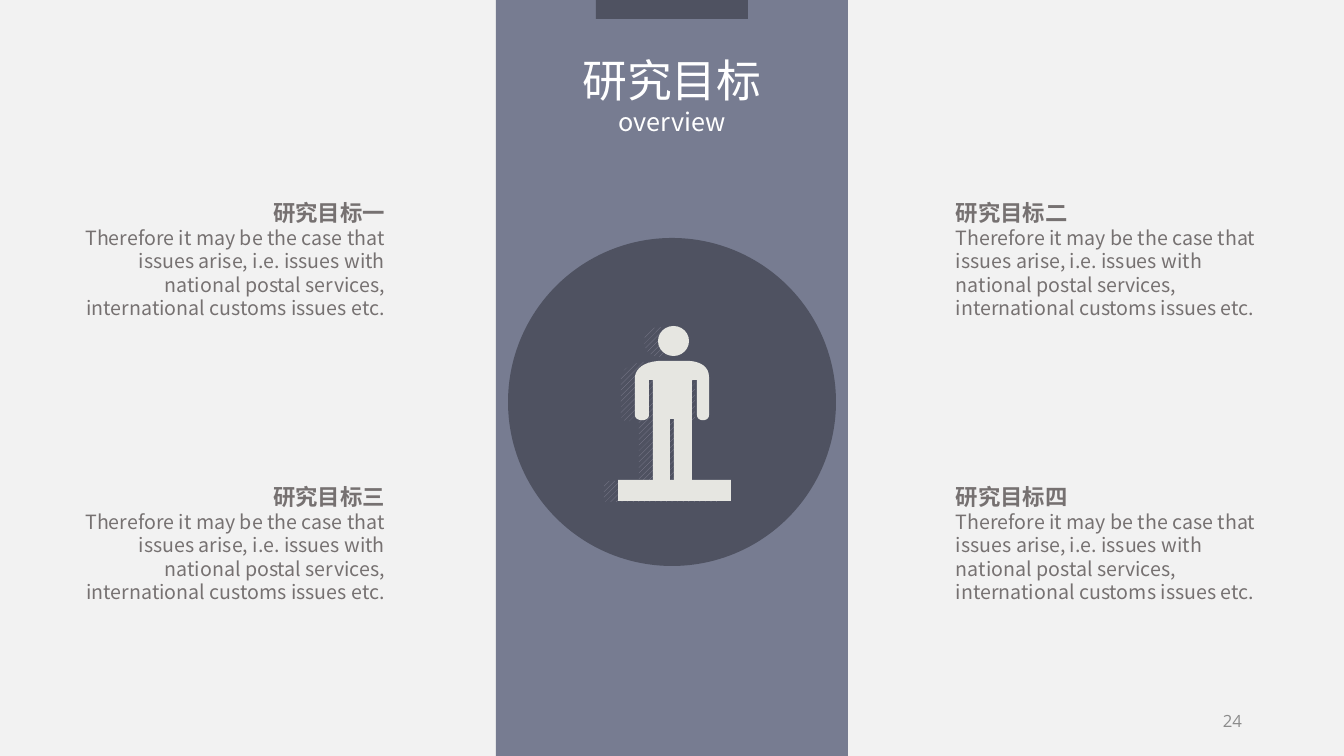
from lxml.etree import SubElement as Sub
from pptx import Presentation
from pptx.dml.color import RGBColor as RGB
from pptx.enum.dml import MSO_PATTERN as Pat
from pptx.enum.shapes import MSO_SHAPE as Kind
from pptx.enum.text import MSO_ANCHOR as Anchor, MSO_AUTO_SIZE as Auto, PP_ALIGN as Align
from pptx.oxml.ns import qn
from pptx.util import Pt

PX = 914400 / 100.8
PALE = RGB(0xF2, 0xF2, 0xF2)
SLATE = RGB(0x77, 0x7C, 0x91)
DARK = RGB(0x4F, 0x52, 0x61)
HATCH = RGB(0x87, 0x84, 0x97)
BONE = RGB(0xE6, 0xE6, 0xE1)
WHITE = RGB(0xFF, 0xFF, 0xFF)
GREY = RGB(0x76, 0x71, 0x71)
FAINT = RGB(0x8C, 0x8C, 0x8C)
NOTO = "Noto Sans CJK SC"

TITLE = {"size": Pt(32), "name": NOTO, "color": WHITE}
SUB = {"size": Pt(18), "name": NOTO, "color": WHITE}
HEAD = {"size": Pt(16), "name": "Roboto", "bold": True, "color": GREY}
BODY = {"size": Pt(14), "name": NOTO, "bold": False, "color": GREY}
PAGE = {"size": Pt(12), "name": "Open Sans", "color": FAINT}

GOALS = [["研究目标一", "研究目标二"], ["研究目标三", "研究目标四"]]
NOTE = ("Therefore it may be the case that issues arise, i.e. issues with "
        "national postal services, international customs issues etc.")
COLS = [(73, Align.RIGHT), (946, Align.LEFT)]
ROWS = [194, 478]

PANELS = [
    (Kind.RECTANGLE, (0, 0, 1344, 756), PALE),
    (Kind.RECTANGLE, (496, 0, 352, 756), SLATE),
    (Kind.RECTANGLE, (596, 0, 152, 19), DARK),
    (Kind.OVAL, (508, 238, 328, 328), DARK),
]
FACE = (658, 326, 31, 30)
BASE = (618, 480, 113, 21)
TORSO = [
    (709, 377), (709, 361, 689, 361, 689, 361),
    (658, 361), (635, 363, 635, 377, 635, 377),
    (635, 415), (635, 422, 649, 422, 649, 415),
    (649, 380), (653, 380), (653, 487), (653, 499, 670, 499, 670, 487),
    (670, 419), (674, 419), (674, 487), (674, 499, 692, 499, 692, 487),
    (692, 380), (697, 380), (697, 415), (697, 422, 709, 422, 709, 415),
]
STEPS = 12


def emu(vals):
    return [round(v * PX) for v in vals]


def paint(shape, color):
    if color == HATCH:
        shape.fill.patterned()
        shape.fill.pattern = Pat.WIDE_UPWARD_DIAGONAL
        shape.fill.fore_color.rgb = HATCH
        shape.fill.back_color.rgb = DARK
    else:
        shape.fill.solid()
        shape.fill.fore_color.rgb = color
    shape.line.fill.background()
    shape.shadow.inherit = False


def draw(kind, box, color):
    paint(slide.shapes.add_shape(kind, *emu(box)), color)


def trace(parts):
    dots = []
    for part in parts:
        if len(part) == 2:
            dots.append(part)
            continue
        a, b, c, d = dots[-1], part[:2], part[2:4], part[4:]
        for i in range(1, STEPS + 1):
            t = i / STEPS
            u = 1 - t
            mix = (u ** 3, 3 * u * u * t, 3 * u * t * t, t ** 3)
            dots.append(tuple(sum(m * p[k] for m, p in zip(mix, (a, b, c, d)))
                              for k in (0, 1)))
    return dots


def man(dx, dy, color):
    for kind, (x, y, w, h) in ((Kind.OVAL, FACE), (Kind.RECTANGLE, BASE)):
        draw(kind, (x + dx, y + dy, w, h), color)
    dots = [emu((x + dx, y + dy)) for x, y in trace(TORSO)]
    pen = slide.shapes.build_freeform(*dots[0], scale=1.0)
    pen.add_line_segments(dots[1:], close=True)
    paint(pen.convert_to_shape(), color)


def write(box, lines, align, wrap=True, anchor=Anchor.TOP, fit=Auto.SHAPE_TO_FIT_TEXT):
    frame = slide.shapes.add_textbox(*emu(box)).text_frame
    for key, val in {"word_wrap": wrap, "vertical_anchor": anchor, "auto_size": fit}.items():
        setattr(frame, key, val)
    for i, (text, style) in enumerate(lines):
        para = frame.add_paragraph() if i else frame.paragraphs[0]
        para.alignment = align
        run = para.add_run()
        run.text = text
        for key, val in style.items():
            if key == "color":
                run.font.color.rgb = val
            else:
                setattr(run.font, key, val)
        Sub(run.font._element, qn("a:ea"), typeface=style["name"])


deck = Presentation()
deck.slide_width, deck.slide_height = emu((1344, 756))
slide = deck.slides.add_slide(deck.slide_layouts[6])

for panel in PANELS:
    draw(*panel)
man(-14, 1, HATCH)
man(0, 0, BONE)

write((572, 48, 200, 95), [("研究目标", TITLE), ("overview", SUB)], Align.CENTER, wrap=False)
for top, row in zip(ROWS, GOALS):
    for (left, align), goal in zip(COLS, row):
        write((left, top, 322, 132), [(goal, HEAD), (NOTE, BODY)], align)
write((1209, 701, 43, 40), [("24", PAGE)], Align.RIGHT, anchor=Anchor.MIDDLE, fit=Auto.NONE)

deck.save("out.pptx")
